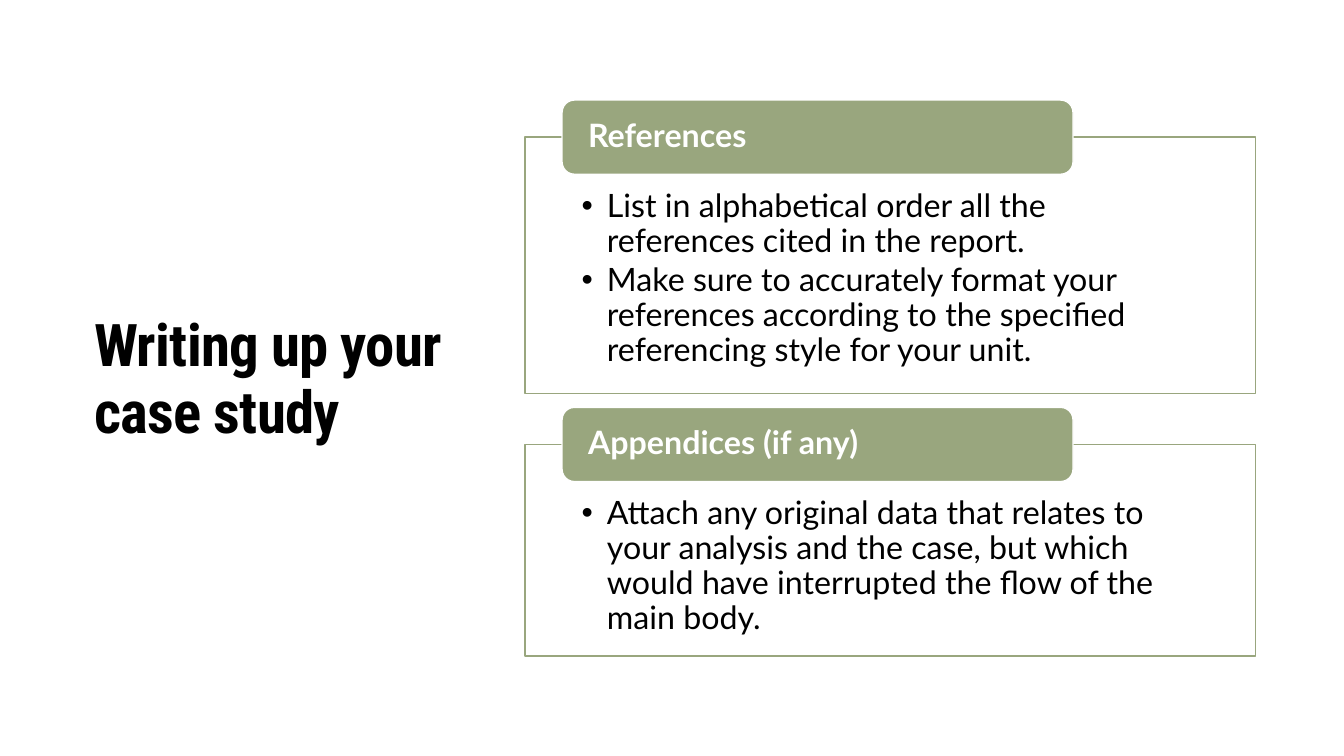
"""Build the slide on references and appendices of a case study."""
import dataclasses

import lxml.etree
import pptx
import pptx.dml.color
import pptx.enum.shapes
import pptx.enum.text
import pptx.oxml.ns
import pptx.slide
import pptx.text.text
import pptx.util

Pt = pptx.util.Pt
RGBColor = pptx.dml.color.RGBColor
BLACK = RGBColor(0, 0, 0)
WHITE = RGBColor(255, 255, 255)
SAGE = RGBColor(0x99, 0xA6, 0x7E)
TITLE_FONT = "Roboto Condensed"
TEXT_FONT = "Lato"
TEXT_SIZE = 23
PANEL_LEFT, PANEL_TOP, PANEL_WIDTH, PANEL_GAP = 375, 98, 522, 36.5
HEADING_LEFT, HEADING_RISE, HEADING_WIDTH, HEADING_HEIGHT = 401.5, 26.5, 365, 53


@dataclasses.dataclass
class Panel:
    heading: str
    items: list[str]
    height: float


PANELS = [
    Panel(
        "References",
        [
            "List in alphabetical order all the references cited in the report.",
            "Make sure to accurately format your references according to the "
            "specified referencing style for your unit.",
        ],
        183,
    ),
    Panel(
        "Appendices (if any)",
        [
            "Attach any original data that relates to your analysis and the case, "
            "but which would have interrupted the flow of the main body."
        ],
        151,
    ),
]


def place(box, left: float, top: float, width: float, height: float) -> None:
    box.left, box.top, box.width, box.height = Pt(left), Pt(top), Pt(width), Pt(height)


def set_frame(frame: pptx.text.text.TextFrame, anchor, side: float, top: float, bottom: float) -> None:
    frame.word_wrap = True
    frame.auto_size = pptx.enum.text.MSO_AUTO_SIZE.NONE
    frame.vertical_anchor = anchor
    frame.margin_left = frame.margin_right = Pt(side)
    frame.margin_top, frame.margin_bottom = Pt(top), Pt(bottom)


def format_para(para, name: str, size: float, color: RGBColor, bold: bool, spacing: float) -> None:
    para.alignment = pptx.enum.text.PP_ALIGN.LEFT
    para.line_spacing = spacing
    para.space_before = Pt(0)
    for span in para.runs:
        span.font.name = name
        span.font.size = Pt(size)
        span.font.bold = bold
        span.font.color.rgb = color


def paint(box, fill: RGBColor, line: RGBColor) -> None:
    box.fill.solid()
    box.fill.fore_color.rgb = fill
    box.line.color.rgb = line
    box.line.width = Pt(1)


def add_bullet(para) -> None:
    properties = para._p.get_or_add_pPr()
    properties.set("marL", str(Pt(18)))
    properties.set("indent", str(Pt(-18)))
    bullet = lxml.etree.SubElement(properties, pptx.oxml.ns.qn("a:buChar"))
    bullet.set("char", "•")


def draw_title(page: pptx.slide.Slide) -> None:
    title = page.shapes.title
    place(title, 60, 61, 307.5, 420.5)
    title.text_frame.text = "Writing up your case study"
    set_frame(title.text_frame, pptx.enum.text.MSO_ANCHOR.MIDDLE, 7.2, 3.6, 3.6)
    para = title.text_frame.paragraphs[0]
    format_para(para, TITLE_FONT, 42, BLACK, True, 0.95)
    para.runs[0]._r.get_or_add_rPr().set("spc", "-50")


def draw_panel(page: pptx.slide.Slide, body, panel: Panel, top: float) -> None:
    place(body, PANEL_LEFT, top, PANEL_WIDTH, panel.height)
    paint(body, WHITE, SAGE)
    body.text_frame.text = "\n".join(panel.items)
    set_frame(body.text_frame, pptx.enum.text.MSO_ANCHOR.TOP, 40.5, 37.5, 13)
    for para in body.text_frame.paragraphs:
        add_bullet(para)
        format_para(para, TEXT_FONT, TEXT_SIZE, BLACK, False, 0.9)
        para.space_after = Pt(3.5)

    heading = page.shapes.add_shape(
        pptx.enum.shapes.MSO_SHAPE.ROUNDED_RECTANGLE,
        Pt(HEADING_LEFT), Pt(top - HEADING_RISE), Pt(HEADING_WIDTH), Pt(HEADING_HEIGHT),
    )
    heading.shadow.inherit = False
    paint(heading, SAGE, WHITE)
    heading.text_frame.text = panel.heading
    set_frame(heading.text_frame, pptx.enum.text.MSO_ANCHOR.MIDDLE, 16, 0, 0)
    format_para(heading.text_frame.paragraphs[0], TEXT_FONT, TEXT_SIZE, WHITE, True, 0.9)


def main() -> None:
    deck = pptx.Presentation()
    deck.slide_width, deck.slide_height = Pt(960), Pt(540)
    page = deck.slides.add_slide(deck.slide_layouts.get_by_name("Two Content"))
    draw_title(page)
    top = PANEL_TOP
    for index, panel in enumerate(PANELS, start=1):
        draw_panel(page, page.placeholders[index], panel, top)
        top += panel.height + PANEL_GAP
    deck.save("out.pptx")


if __name__ == "__main__":
    main()
